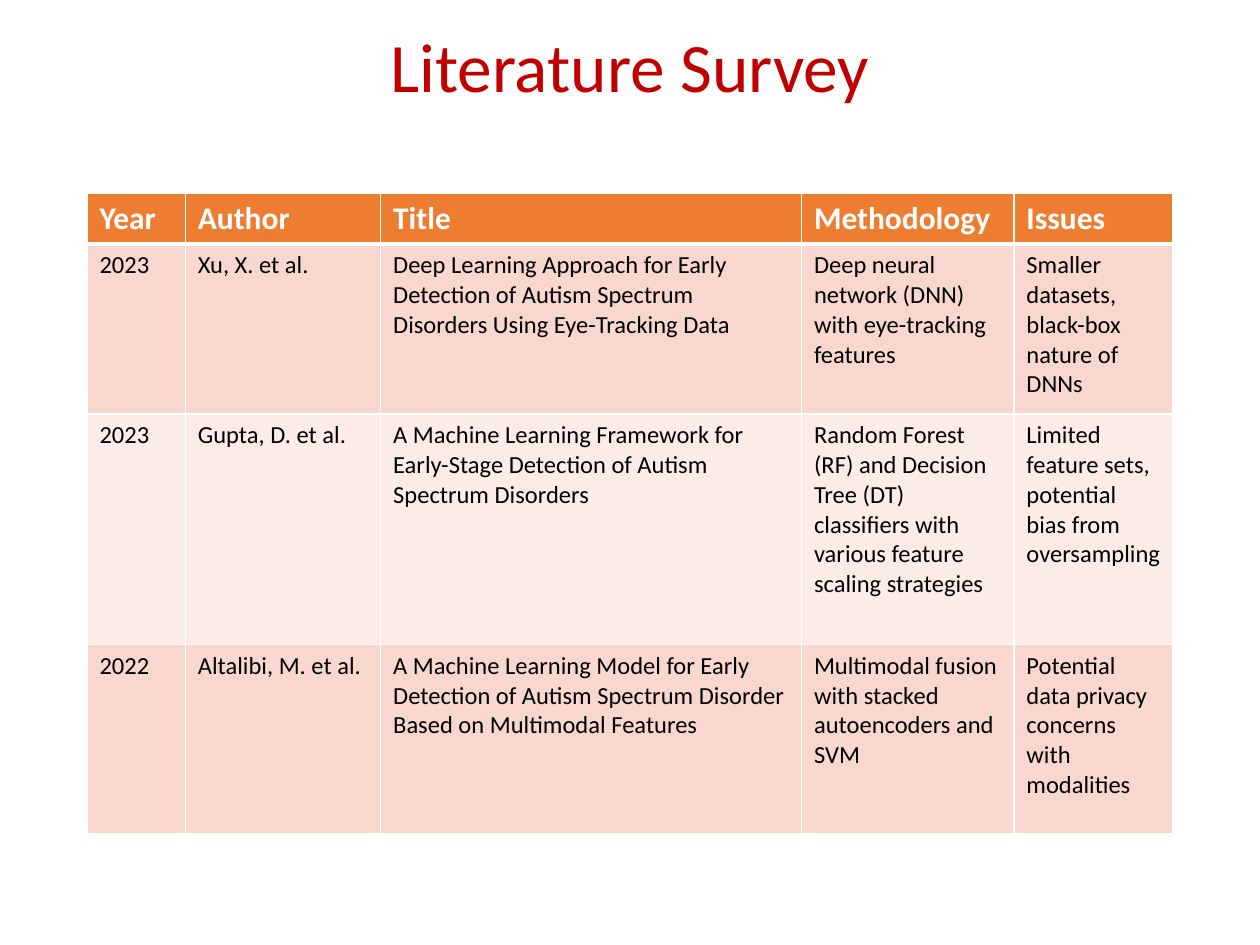
from lxml import etree
from pptx import Presentation
from pptx.dml.color import RGBColor
from pptx.enum.text import MSO_ANCHOR, PP_ALIGN
from pptx.oxml.ns import qn
from pptx.util import Pt

CENTER = PP_ALIGN.CENTER
MIDDLE = MSO_ANCHOR.MIDDLE
TITLE_ONLY = 5
FONT = "Calibri"
COLORS = {
    "title": "C00000",
    "head": "ED7D31",
    "odd": "F8D7CE",
    "even": "FCECE8",
    "text": "000000",
    "white": "FFFFFF",
}
LEFT, WIDTH = 49.7, 620.6
COLS = [56.2, 111.6, 240.5, 121.4, 90.9]
ROWS = [29.2, 97.2, 131.8, 108.3]
STUDIES = [
    ["Year", "Author", "Title", "Methodology", "Issues"],
    ["2023", "Xu, X. et al.",
     "Deep Learning Approach for Early Detection of Autism Spectrum "
     "Disorders Using Eye-Tracking Data",
     "Deep neural network (DNN) with eye-tracking features",
     "Smaller datasets, black-box nature of DNNs"],
    ["2023", "Gupta, D. et al.",
     "A Machine Learning Framework for Early-Stage Detection of Autism "
     "Spectrum Disorders",
     "Random Forest (RF) and Decision Tree (DT) classifiers with various "
     "feature scaling strategies",
     "Limited feature sets, potential bias from oversampling"],
    ["2022", "Altalibi, M. et al.",
     "A Machine Learning Model for Early Detection of Autism Spectrum "
     "Disorder Based on Multimodal Features",
     "Multimodal fusion with stacked autoencoders and SVM",
     "Potential data privacy concerns with modalities"],
]


def color(name):
    return RGBColor.from_string(COLORS[name])


def style(par, size, name, bold=False):
    font = par.font
    font.name, font.size, font.bold = FONT, Pt(size), bold
    font.color.rgb = color(name)


def add_title(slide, text):
    title = slide.shapes.title
    title.left, title.top = Pt(LEFT), Pt(19.4)
    title.width, title.height = Pt(WIDTH), Pt(41.8)
    frame = title.text_frame
    frame.text = text
    frame.vertical_anchor = MIDDLE
    par = frame.paragraphs[0]
    par.alignment, par.line_spacing = CENTER, 0.9
    style(par, 39.6, "title")


def set_border(cell, side, width):
    props = cell._tc.get_or_add_tcPr()
    line = etree.SubElement(props, qn(f"a:ln{side}"), w=str(Pt(width)))
    fill = etree.SubElement(line, qn("a:solidFill"))
    etree.SubElement(fill, qn("a:srgbClr"), val=COLORS["white"])


def fill_cell(cell, text, row):
    head = row == 0
    # Borders must precede the fill in the cell's XML.
    widths = {"L": 1, "R": 1, "T": 3 if row == 1 else 1, "B": 3 if head else 1}
    for side, width in widths.items():
        set_border(cell, side, width)
    cell.fill.solid()
    cell.fill.fore_color.rgb = color("head" if head else "odd" if row % 2 else "even")
    cell.text = text
    par = cell.text_frame.paragraphs[0]
    if head:
        style(par, 18, "white", True)
    else:
        style(par, 14, "text")


def add_table(slide, data):
    frame = slide.shapes.add_table(
        len(ROWS), len(COLS), Pt(LEFT), Pt(110.2), Pt(WIDTH), Pt(sum(ROWS)))
    table = frame.table
    for col, width in zip(table.columns, COLS):
        col.width = Pt(width)
    for row, height in zip(table.rows, ROWS):
        row.height = Pt(height)
    for r, texts in enumerate(data):
        for c, text in enumerate(texts):
            fill_cell(table.cell(r, c), text, r)


def main():
    deck = Presentation()
    deck.slide_width, deck.slide_height = Pt(720), Pt(540)
    slide = deck.slides.add_slide(deck.slide_layouts[TITLE_ONLY])
    add_title(slide, "Literature Survey")
    add_table(slide, STUDIES)
    deck.save("out.pptx")


if __name__ == "__main__":
    main()
